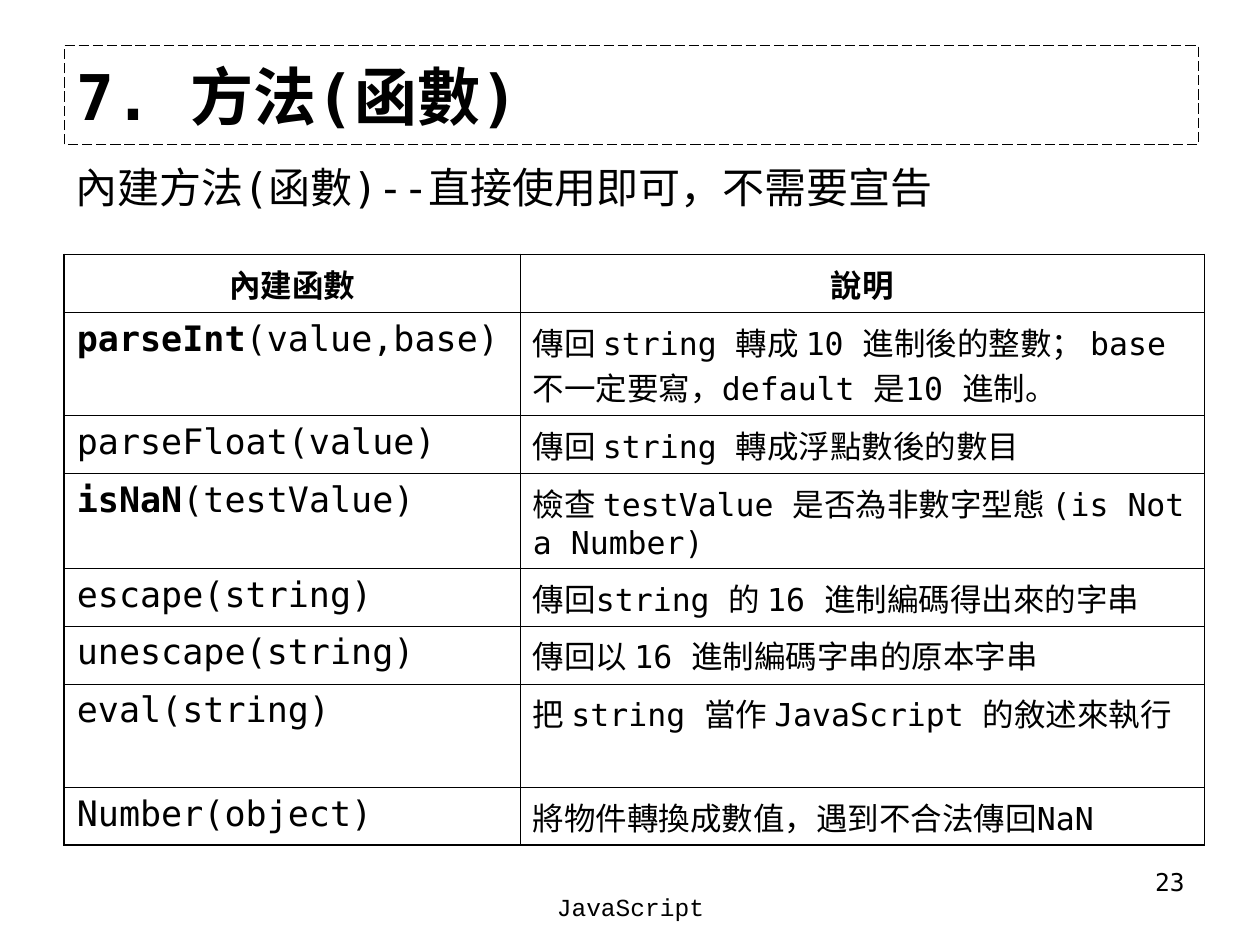
import pptx
import pptx.util
import pptx.dml.color
import pptx.enum.dml
import pptx.enum.text
import pptx.oxml
import pptx.oxml.ns

Inches = pptx.util.Inches
Pt = pptx.util.Pt
ALIGN = pptx.enum.text.PP_ALIGN
ANCHOR = pptx.enum.text.MSO_ANCHOR
BLACK = pptx.dml.color.RGBColor(0, 0, 0)
MONO = "DejaVu Sans Mono"
THIN, THICK = 0.45, 1.08

# Function name, whether it is bold, its arguments, description
FUNCTIONS = [
    ("parseInt", True, "(value,base)",
     "傳回 string 轉成 10 進制後的整數； base 不一定要寫，default 是10 進制。"),
    ("parseFloat", False, "(value)", "傳回 string 轉成浮點數後的數目"),
    ("isNaN", True, "(testValue)",
     "檢查 testValue 是否為非數字型態 (is Not a Number)"),
    ("escape", False, "(string)", "傳回string 的 16 進制編碼得出來的字串"),
    ("unescape", False, "(string)", "傳回以 16 進制編碼字串的原本字串"),
    ("eval", False, "(string)", "把 string 當作 JavaScript 的敘述來執行"),
    ("Number", False, "(object)", "將物件轉換成數值，遇到不合法傳回NaN"),
]
COLUMN_WIDTHS = [3.62, 5.43]
ROW_HEIGHTS = [0.46, 0.82, 0.46, 0.75, 0.46, 0.46, 0.82, 0.46]


def write(tf, runs, size, align=ALIGN.LEFT, font=MONO):
    """Fill the first paragraph with (text, bold) runs."""
    tf.word_wrap = True
    p = tf.paragraphs[0]
    p.alignment = align
    p.space_before = Pt(0)
    for text, bold in runs:
        r = p.add_run()
        r.text = text
        r.font.name = font
        r.font.size = Pt(size)
        r.font.bold = bold
        r.font.color.rgb = BLACK


def set_borders(cell, widths):
    """Draw solid borders; widths maps L, R, T and B to points."""
    tc_pr = cell._tc.get_or_add_tcPr()
    for i, (side, width) in enumerate(widths.items()):
        tc_pr.insert(i, pptx.oxml.parse_xml(
            f'<a:ln{side} {pptx.oxml.ns.nsdecls("a")} w="{Pt(width)}">'
            f'<a:solidFill><a:srgbClr val="{BLACK}"/></a:solidFill>'
            f'<a:prstDash val="solid"/></a:ln{side}>'))


prs = pptx.Presentation()
prs.slide_width = Inches(10)
prs.slide_height = Inches(7.5)
s = prs.slides.add_slide(prs.slide_layouts[5])

# Title
title = s.shapes.title
title.left, title.top = Inches(0.51), Inches(0.36)
title.width, title.height = Inches(9), Inches(0.79)
title.line.color.rgb = BLACK
title.line.width = Pt(0.75)
title.line.dash_style = pptx.enum.dml.MSO_LINE.LONG_DASH
title.text_frame.auto_size = pptx.enum.text.MSO_AUTO_SIZE.NONE
title.text_frame.vertical_anchor = ANCHOR.MIDDLE
write(title.text_frame, [("7. 方法(函數)", True)], 36)

# Introduction, page number and footer
for text, left, top, width, height, size, align, font in [
    ("內建方法(函數)--直接使用即可，不需要宣告",
     0.5, 1.23, 9, 5.67, 24, ALIGN.LEFT, MONO),
    ("23", 7.17, 6.83, 2.33, 0.52, 14, ALIGN.RIGHT, MONO),
    ("JavaScript", 3.42, 7.03, 3.17, 0.5, 14, ALIGN.CENTER, "Courier New"),
]:
    sp = s.shapes.add_textbox(Inches(left), Inches(top), Inches(width), Inches(height))
    write(sp.text_frame, [(text, False)], size, align, font)

# Function table
table = s.shapes.add_table(
    len(ROW_HEIGHTS), len(COLUMN_WIDTHS), Inches(0.51), Inches(2.02),
    Inches(sum(COLUMN_WIDTHS)), Inches(sum(ROW_HEIGHTS))).table
table.first_row = False
table.horz_banding = False
for column, width in zip(table.columns, COLUMN_WIDTHS):
    column.width = Inches(width)
for row, height in zip(table.rows, ROW_HEIGHTS):
    row.height = Inches(height)

for col, heading in enumerate(["內建函數", "說明"]):
    write(table.cell(0, col).text_frame, [(heading, True)], 18, ALIGN.CENTER)
for row, (name, bold, arguments, description) in enumerate(FUNCTIONS, start=1):
    runs = [(name, True), (arguments, False)] if bold else [(name + arguments, False)]
    write(table.cell(row, 0).text_frame, runs, 20)
    write(table.cell(row, 1).text_frame, [(description, False)], 18)

last_row, last_col = len(ROW_HEIGHTS) - 1, len(COLUMN_WIDTHS) - 1
for row in range(last_row + 1):
    for col in range(last_col + 1):
        cell = table.cell(row, col)
        cell.fill.background()
        set_borders(cell, {
            "L": THICK if col == 0 else THIN,
            "R": THICK if col == last_col else THIN,
            "T": THICK if row == 0 else THIN,
            "B": THICK if row == last_row else THIN,
        })

prs.save("out.pptx")
